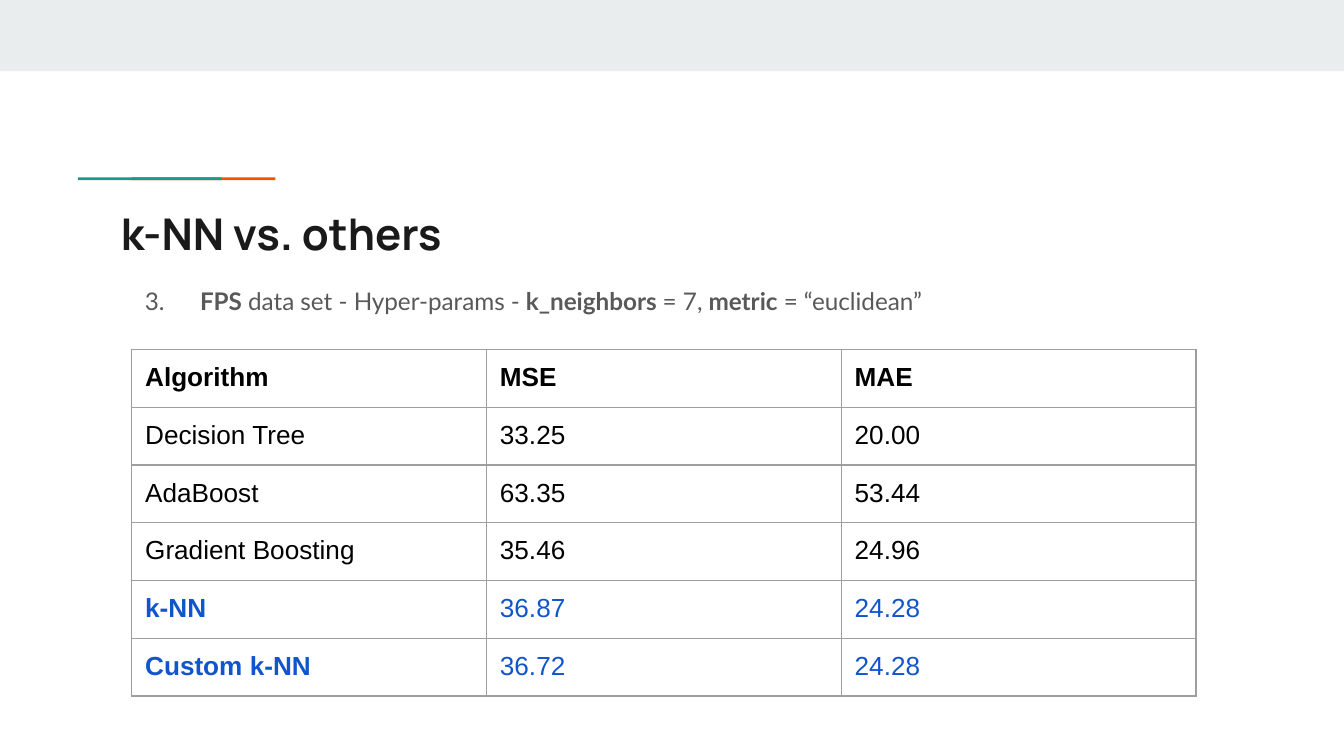
from dataclasses import dataclass

from lxml import etree
from pptx import Presentation
from pptx.dml.color import RGBColor
from pptx.enum.shapes import MSO_SHAPE
from pptx.enum.text import MSO_ANCHOR, MSO_AUTO_SIZE, PP_ALIGN
from pptx.oxml.ns import qn
from pptx.util import Inches, Pt

RECT = MSO_SHAPE.RECTANGLE
TOP = MSO_ANCHOR.TOP
LEFT = PP_ALIGN.LEFT
NO_FIT = MSO_AUTO_SIZE.NONE

COLORS = {
    "band": "E9EDEE",
    "orange": "EB5600",
    "teal": "1A9988",
    "title": "1A1A1A",
    "note": "595959",
    "cell": "000000",
    "ours": "1155CC",
    "grid": "9E9E9E",
}


@dataclass
class Bar:
    left: float
    top: float
    width: float
    height: float
    color: str


@dataclass
class Style:
    face: str
    size: float
    color: str


@dataclass
class Score:
    name: str
    mse: str
    mae: str
    color: str = "cell"
    bold_name: bool = False
    bold_rest: bool = False


BARS = [
    Bar(0, 0, 10, 0.53, "band"),
    Bar(0.98, 1.32, 1.07, 0.02, "orange"),
    Bar(0.58, 1.32, 1.07, 0.02, "teal"),
]

SCORES = [
    Score("Algorithm", "MSE", "MAE", bold_name=True, bold_rest=True),
    Score("Decision Tree", "33.25", "20.00"),
    Score("AdaBoost", "63.35", "53.44"),
    Score("Gradient Boosting", "35.46", "24.96"),
    Score("k-NN", "36.87", "24.28", "ours", bold_name=True),
    Score("Custom k-NN", "36.72", "24.28", "ours", bold_name=True),
]

NOTE = [
    ("3.\t", False),
    ("FPS", True),
    (" data set - Hyper-params - ", False),
    ("k_neighbors", True),
    (" = 7, ", False),
    ("metric", True),
    (" = “euclidean”", False),
]

WIDE = 10
HIGH = WIDE * 9 / 16
COL_W, ROW_H, PAD = 2.64, 0.43, 0.1


def draw_bar(slide, bar: Bar) -> None:
    shape = slide.shapes.add_shape(
        RECT, Inches(bar.left), Inches(bar.top), Inches(bar.width), Inches(bar.height)
    )
    shape.shadow.inherit = False
    shape.fill.solid()
    shape.fill.fore_color.rgb = RGBColor.from_string(COLORS[bar.color])
    shape.line.fill.background()


def add_run(para, text: str, style: Style, bold: bool) -> None:
    run = para.add_run()
    run.text = text
    run.font.name = style.face
    run.font.size = Pt(style.size)
    run.font.bold = bold
    run.font.color.rgb = RGBColor.from_string(COLORS[style.color])


def set_pads(item) -> None:
    """Give a text frame or a table cell the same inset on all sides."""
    item.margin_left = item.margin_right = Inches(PAD)
    item.margin_top = item.margin_bottom = Inches(PAD)


def set_frame(frame) -> None:
    set_pads(frame)
    frame.word_wrap = True
    frame.auto_size = NO_FIT
    frame.vertical_anchor = TOP


def draw_title(slide, text: str) -> None:
    title = slide.shapes.title
    title.left, title.top = Inches(0.8), Inches(1.44)
    title.width, title.height = Inches(8.41), Inches(0.59)
    set_frame(title.text_frame)
    para = title.text_frame.paragraphs[0]
    para.alignment = LEFT
    add_run(para, text, Style("Manrope", 23.4, "title"), True)


def draw_note(slide) -> None:
    box = slide.shapes.add_textbox(
        Inches(0.98), Inches(2.03), Inches(7.69), Inches(0.42)
    )
    set_frame(box.text_frame)
    para = box.text_frame.paragraphs[0]
    tabs = etree.SubElement(para._p.get_or_add_pPr(), qn("a:tabLst"))
    etree.SubElement(tabs, qn("a:tab"), pos=str(Inches(0.41)), algn="l")
    for text, bold in NOTE:
        add_run(para, text, Style("Lato", 13, "note"), bold)


def add_grid(cell) -> None:
    """Draw a thin line on each side of a cell."""
    props = cell._tc.get_or_add_tcPr()
    for side in ("lnL", "lnR", "lnT", "lnB"):
        line = etree.SubElement(props, qn(f"a:{side}"), w=str(Pt(0.75)))
        fill = etree.SubElement(line, qn("a:solidFill"))
        etree.SubElement(fill, qn("a:srgbClr"), val=COLORS["grid"])


def draw_table(slide, scores: list[Score]) -> None:
    frame = slide.shapes.add_table(
        len(scores), 3, Inches(0.98), Inches(2.6),
        Inches(3 * COL_W), Inches(len(scores) * ROW_H),
    )
    table = frame.table
    table.first_row = table.horz_banding = False
    for col in table.columns:
        col.width = Inches(COL_W)
    for row, score in zip(table.rows, scores):
        row.height = Inches(ROW_H)
        style = Style("Arial", 14, score.color)
        texts = (score.name, score.mse, score.mae)
        bolds = (score.bold_name, score.bold_rest, score.bold_rest)
        for cell, text, bold in zip(row.cells, texts, bolds):
            set_pads(cell)
            add_grid(cell)
            cell.fill.background()
            add_run(cell.text_frame.paragraphs[0], text, style, bold)


def main() -> None:
    deck = Presentation()
    deck.slide_width, deck.slide_height = Inches(WIDE), Inches(HIGH)
    slide = deck.slides.add_slide(deck.slide_layouts[5])
    for bar in BARS:
        draw_bar(slide, bar)
    draw_title(slide, "k-NN vs. others")
    draw_table(slide, SCORES)
    draw_note(slide)
    deck.save("out.pptx")


if __name__ == "__main__":
    main()
